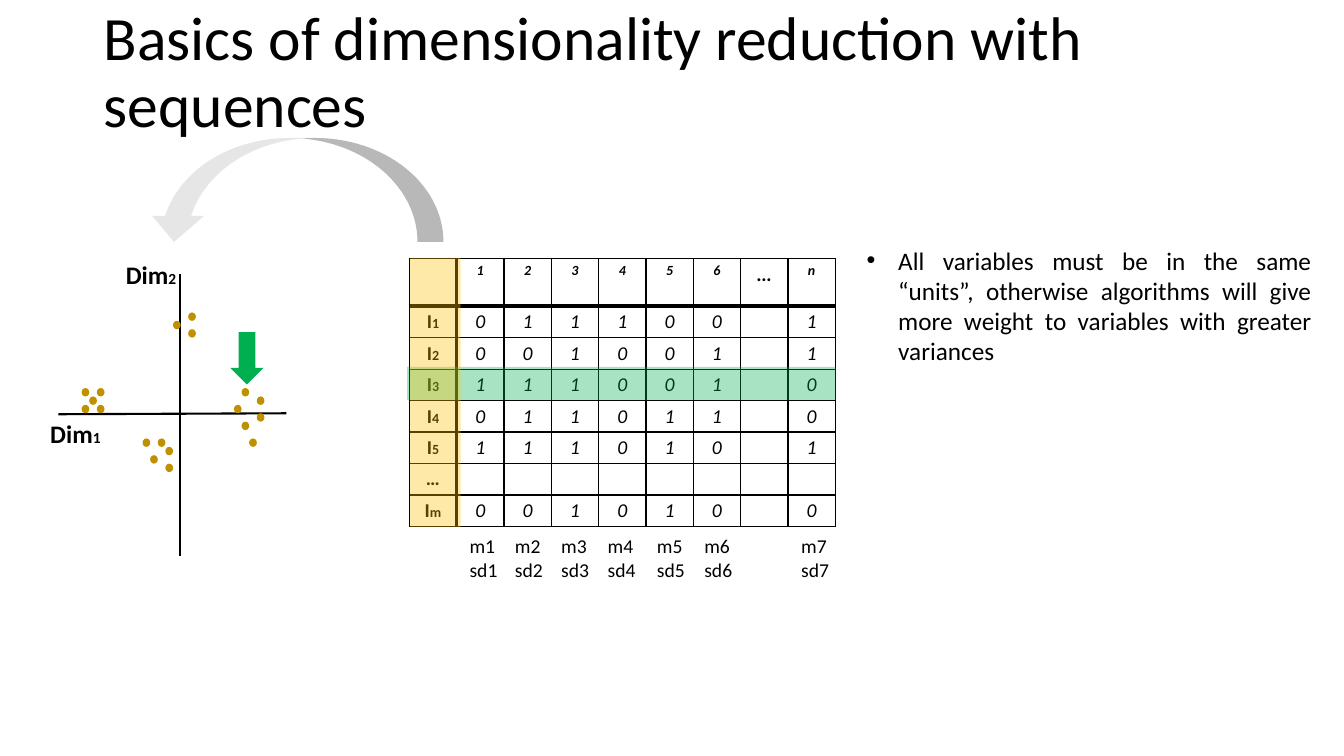
from lxml import etree
from pptx import Presentation
from pptx.dml.color import RGBColor
from pptx.enum import shapes as sh, text as tx
from pptx.oxml import ns
from pptx.util import Pt

HUE = {"ink": "000000", "dot": "BF9000", "green": "00B050",
       "gold": "FFC000", "grey": "E7E6E6"}
KIND = sh.MSO_SHAPE
ALIGN = tx.PP_ALIGN
BASE = {"name": "Calibri", "bold": False, "italic": False}

# Column (x) and row (y) of each dot on the scatter lattice
DOTS = [(20, 11), (23, 10), (21, 9), (21, 13), (14, 2), (14, 0), (12, 1),
        (22, 15), (23, 12), (2, 11), (0, 9), (0, 11), (2, 9), (1, 10),
        (11, 16), (10, 15), (9, 17), (11, 18), (8, 15)]
HEAD = ["", "1", "2", "3", "4", "5", "6", "…", "n"]
ROWS = {"I1": "011100 1", "I2": "001001 1", "I3": "111001 0",
        "I4": "011011 0", "I5": "111010 1", "…": " " * 8, "Im": "001010 0"}
MEANS = [328.3, 360.7, 393.8, 427, 462.2, 496, 565.2]


def color(key):
    return RGBColor.from_string(HUE[key])


def add(parent, tag, **vals):
    node = etree.SubElement(parent, ns.qn(tag))
    for key, val in vals.items():
        node.set(key, str(val))
    return node


def write(para, words, size, **form):
    run = para.add_run()
    run.text = words
    for key, val in {**BASE, "size": Pt(size), **form}.items():
        setattr(run.font, key, val)
    run.font.color.rgb = color("ink")


def label(slide, box, wrap=False):
    frame = slide.shapes.add_textbox(*map(Pt, box)).text_frame
    form = {"word_wrap": wrap,
            "auto_size": tx.MSO_AUTO_SIZE.SHAPE_TO_FIT_TEXT}
    for key, val in form.items():
        setattr(frame, key, val)
    return frame


def shape(slide, kind, box, hue, alpha=None):
    item = slide.shapes.add_shape(kind, *map(Pt, box))
    item.shadow.inherit = False
    item.fill.solid()
    item.fill.fore_color.rgb = color(hue)
    item.line.fill.background()
    if alpha:
        tint = item.fill._xPr.find(".//" + ns.qn("a:srgbClr"))
        add(tint, "a:alpha", val=alpha * 1000)
    return item


def line(slide, *ends):
    item = slide.shapes.add_connector(sh.MSO_CONNECTOR.STRAIGHT,
                                      *map(Pt, ends))
    item.line.width = Pt(1.5)
    item.line.color.rgb = color("ink")
    add(item._element.spPr, "a:effectLst")


def title(slide, box):
    frame = label(slide, box, True)
    frame.auto_size = tx.MSO_AUTO_SIZE.NONE
    frame.vertical_anchor = tx.MSO_ANCHOR.MIDDLE
    para = frame.paragraphs[0]
    para.line_spacing = 0.9
    write(para, "Basics of dimensionality reduction with sequences", 44)


def edges(cell, row, col):
    heavy = {"L": col == 1, "R": col == 0, "T": row == 1, "B": row == 0}
    props = cell._tc.get_or_add_tcPr()
    for side, thick in heavy.items():
        rule = add(props, "a:ln" + side, w=Pt(3 if thick else 1))
        add(add(rule, "a:solidFill"), "a:srgbClr", val=HUE["ink"])
    cell.fill.background()


def fill(cell, words, row, col):
    for side, gap in {"left": 5.4, "right": 5.4,
                      "top": 2.7, "bottom": 2.7}.items():
        setattr(cell, "margin_" + side, Pt(gap))
    para = cell.text_frame.paragraphs[0]
    para.alignment = ALIGN.CENTER
    words = words.strip()
    if not words:
        add(para._p, "a:endParaRPr", sz=1400)
    elif row == 0:
        write(para, words, 14 if words == "…" else 10, bold=True, italic=True)
    elif col == 0:
        write(para, words[0], 14, bold=True)
        if words[1:]:
            write(para, words[1:], 10, bold=True)
    else:
        write(para, words, 14, italic=True)


def matrix(slide, box):
    x, y, w, h = box
    data = [HEAD] + [[name, *bits] for name, bits in ROWS.items()]
    table = slide.shapes.add_table(len(data), len(HEAD),
                                   *map(Pt, box)).table
    table.first_row = table.horz_banding = False
    top = 34
    for col in table.columns:
        col.width = Pt(w / len(HEAD))
    for num, row in enumerate(table.rows):
        row.height = Pt((h - top) / len(ROWS) if num else top)
    for r, row in enumerate(data):
        for c, words in enumerate(row):
            fill(table.cell(r, c), words, r, c)
            edges(table.cell(r, c), r, c)


def scatter(slide, box):
    x, y, w, h = box
    line(slide, x + 87.1, y, x + 87.1, y + h)
    line(slide, x, y + 100.1, x + w, y + 99.4)
    for col, row in DOTS:
        spot = (x + 16.5 + 5.44 * col, y + 27.4 + 6 * row, 5.5, 6)
        shape(slide, KIND.OVAL, spot, "dot")
    for num, left, top in (("1", -13, 99.4), ("2", 41, -14.4)):
        para = label(slide, (x + left, y + top, 51, 29)).paragraphs[0]
        write(para, "Dim", 18, bold=True)
        write(para, num, 11, bold=True)


def marks(slide):
    shape(slide, KIND.RECTANGLE, (290.9, 262.1, 306, 23.8), "green", 34)
    shape(slide, KIND.RECTANGLE, (293, 184.3, 36, 192.2), "gold", 34)
    bend = shape(slide, KIND.CURVED_DOWN_ARROW,
                 (105.8, 98.6, 211, 74.2), "grey")
    bend._element.spPr.find(ns.qn("a:xfrm")).set("flipH", "1")
    shape(slide, KIND.DOWN_ARROW, (164.5, 237.2, 23.8, 37.4), "green")


def note(slide, box):
    para = label(slide, box, True).paragraphs[0]
    para.alignment = ALIGN.JUSTIFY
    props = para._p.get_or_add_pPr()
    for key, gap in {"marL": 22.5, "indent": -22.5}.items():
        props.set(key, str(Pt(gap)))
    add(props, "a:buFont", typeface="Arial")
    add(props, "a:buChar", char="•")
    write(para, "All variables must be in the same “units”, otherwise "
          "algorithms will give more weight to variables with greater "
          "variances", 18)


def means(slide, y):
    for num, x in enumerate(MEANS, 1):
        frame = label(slide, (x, y, 34.6, 41))
        write(frame.paragraphs[0], f"m{num}", 14)
        write(frame.add_paragraph(), f"sd{num}", 14)


def main():
    deck = Presentation()
    deck.slide_width, deck.slide_height = Pt(960), Pt(540)
    slide = deck.slides.add_slide(deck.slide_layouts[6])
    matrix(slide, (292.3, 184.7, 304.6, 191.5))
    scatter(slide, (41.8, 195.8, 162.7, 201.6))
    marks(slide)
    note(slide, (612, 171.4, 331.9, 94.3))
    means(slide, 378)
    title(slide, (67, 0.7, 828, 104.4))
    deck.save("out.pptx")


if __name__ == "__main__":
    main()
